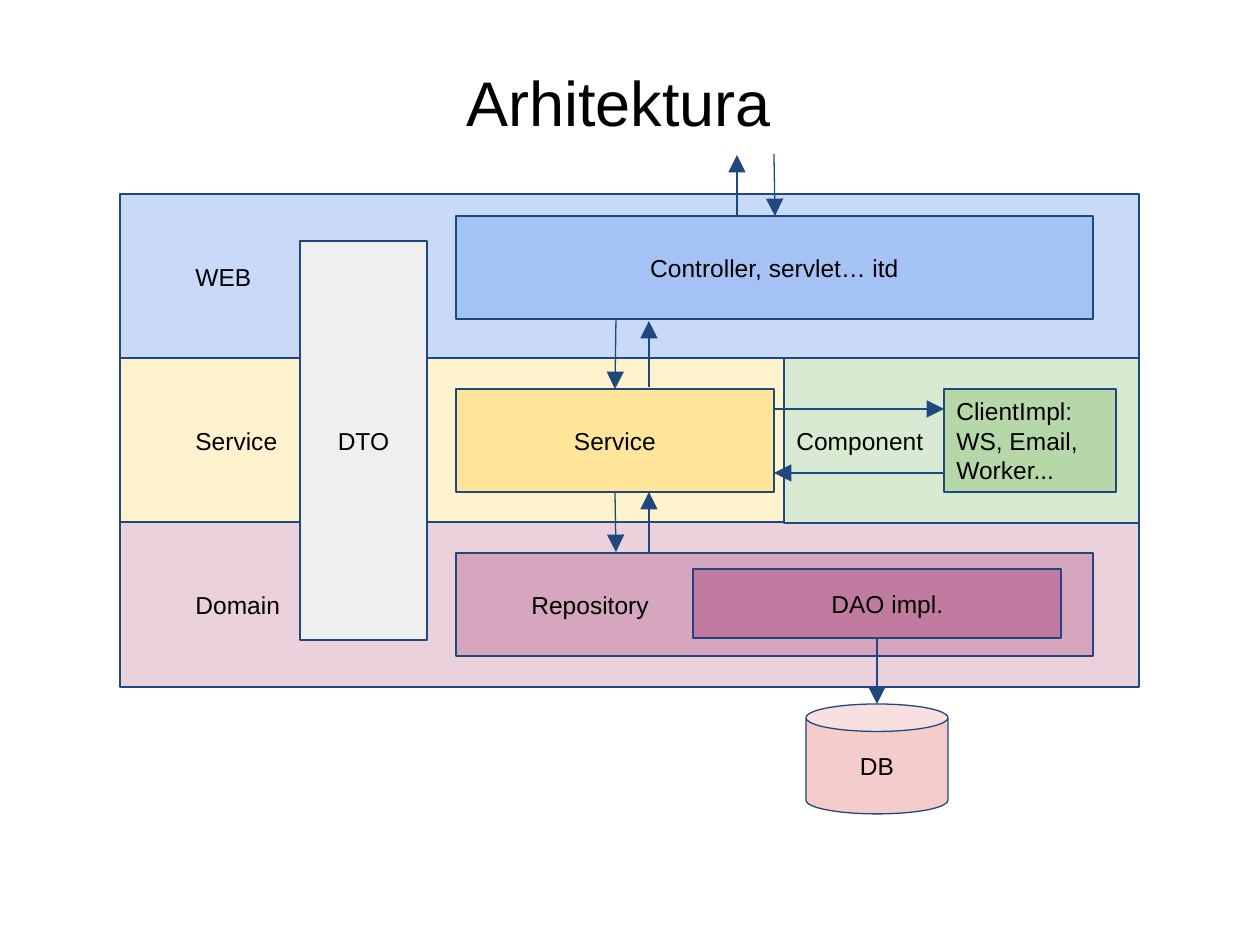
"""Build a slide showing the layers of an application architecture."""
from lxml import etree
from pptx import Presentation, util as u
from pptx.dml.color import RGBColor
from pptx.enum import shapes, text
from pptx.oxml.ns import qn

PIXEL = u.Inches(1) // 126
FONT = "Arial"
BLACK = RGBColor(0, 0, 0)
NAVY = RGBColor(0x1F, 0x49, 0x7D)
WEB, CONTROLLER = RGBColor(0xC9, 0xDA, 0xF8), RGBColor(0xA4, 0xC2, 0xF4)
SERVICE_LAYER, SERVICE = RGBColor(0xFF, 0xF2, 0xCC), RGBColor(0xFF, 0xE5, 0x99)
DOMAIN, REPOSITORY = RGBColor(0xEA, 0xD1, 0xDC), RGBColor(0xD5, 0xA6, 0xBD)
DAO = RGBColor(0xC2, 0x7B, 0xA0)
COMPONENT, CLIENT = RGBColor(0xD9, 0xEA, 0xD3), RGBColor(0xB6, 0xD7, 0xA8)
DATABASE, DTO = RGBColor(0xF4, 0xCC, 0xCC), RGBColor(0xEF, 0xEF, 0xEF)

LEFT, CENTER = text.PP_ALIGN.LEFT, text.PP_ALIGN.CENTER
RECTANGLE, CAN = shapes.MSO_SHAPE.RECTANGLE, shapes.MSO_SHAPE.CAN
LAYER_LEFT, LAYER_TOP, LAYER_WIDTH, LAYER_STEP = 120, 194, 1019, 164
BLOCK_LEFT, BLOCK_WIDTH, BLOCK_HEIGHT = 456, 637, 103
TAB = 63


def px(*lengths):
    return [u.Emu(length * PIXEL) for length in lengths]


def write(frame, words, size, align, indent=0):
    frame.word_wrap = True
    para = frame.paragraphs[0]
    para.alignment = align
    if indent:
        properties = para._p.get_or_add_pPr()
        properties.set("marL", "0")
        properties.set("indent", str(indent * PIXEL))
    span = para.add_run()
    span.text = words
    span.font.size = u.Pt(size)
    span.font.name = FONT
    span.font.color.rgb = BLACK


def add_title(page, words):
    box = page.shapes.add_textbox(*px(83, 52, 1071, 126))
    box.text_frame.margin_top = px(12)[0]
    write(box.text_frame, words, 36, CENTER)


def add_block(page, place, fill, words, align=CENTER, indent=0, kind=RECTANGLE):
    box = page.shapes.add_shape(kind, *px(*place))
    box.shadow.inherit = False
    box.fill.solid()
    box.fill.fore_color.rgb = fill
    box.line.color.rgb = NAVY
    box.line.width = u.Pt(0.75)
    frame = box.text_frame
    frame.vertical_anchor = text.MSO_ANCHOR.MIDDLE
    frame.margin_left = frame.margin_right = u.Inches(0.1)
    frame.margin_top = frame.margin_bottom = u.Inches(0.1)
    write(frame, words, 14, align, indent)
    return box


def add_arrow(page, *ends):
    arrow = page.shapes.add_connector(shapes.MSO_CONNECTOR.STRAIGHT, *px(*ends))
    arrow.line.color.rgb = NAVY
    arrow.line.width = u.Pt(0.75)
    etree.SubElement(arrow.line._get_or_add_ln(), qn("a:tailEnd"),
                     type="triangle", w="lg", len="lg")
    etree.SubElement(arrow._element.spPr, qn("a:effectLst"))


def add_layers(page):
    layers = [("WEB", WEB, LAYER_WIDTH), ("Service", SERVICE_LAYER, 664),
              ("Domain", DOMAIN, LAYER_WIDTH)]
    for row, (words, fill, width) in enumerate(layers):
        top = LAYER_TOP + row * LAYER_STEP
        add_block(page, (LAYER_LEFT, top, width, LAYER_STEP + 1), fill, words, LEFT, TAB)
    add_block(page, (784, LAYER_TOP + LAYER_STEP, 355, LAYER_STEP + 1),
              COMPONENT, "Component", LEFT)


def add_parts(page):
    add_block(page, (BLOCK_LEFT, 216, BLOCK_WIDTH, BLOCK_HEIGHT), CONTROLLER,
              "Controller, servlet… itd")
    add_block(page, (BLOCK_LEFT, 389, 318, BLOCK_HEIGHT), SERVICE, "Service")
    add_block(page, (BLOCK_LEFT, 553, BLOCK_WIDTH, BLOCK_HEIGHT), REPOSITORY,
              "Repository", LEFT, TAB)
    add_block(page, (693, 569, 368, 69), DAO, "DAO impl.", LEFT, 2 * TAB)
    add_block(page, (944, 389, 172, BLOCK_HEIGHT), CLIENT,
              "ClientImpl: WS, Email, Worker...", LEFT)
    database = add_block(page, (806, 704, 142, 110), DATABASE, "DB", kind=CAN)
    database.adjustments[0] = 0.25
    add_block(page, (300, 241, 127, 399), DTO, "DTO")


def main():
    deck = Presentation()
    deck.slide_width, deck.slide_height = u.Inches(10), u.Inches(7.5)
    page = deck.slides.add_slide(deck.slide_layouts[6])
    add_title(page, "Arhitektura")
    add_layers(page)
    add_parts(page)
    for ends in [(737, 216, 737, 155), (774, 154, 775, 216),
                 (616, 320, 615, 389), (649, 387, 649, 321),
                 (774, 409, 944, 409), (943, 473, 774, 473),
                 (615, 492, 616, 552), (649, 553, 649, 492),
                 (877, 638, 877, 704)]:
        add_arrow(page, *ends)
    deck.save("out.pptx")


main()
